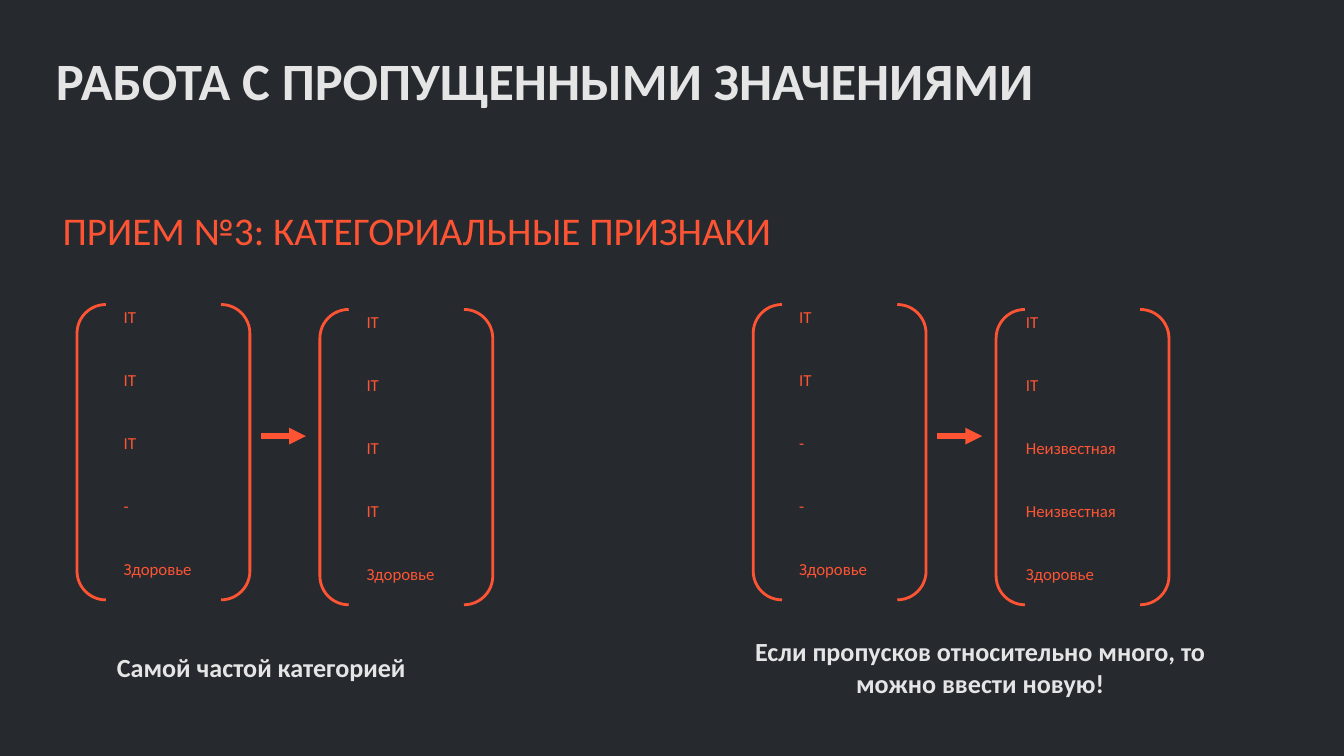
from dataclasses import dataclass

from lxml import etree
from pptx import Presentation
from pptx.dml.color import RGBColor
from pptx.enum.shapes import MSO_CONNECTOR, MSO_SHAPE
from pptx.enum.text import MSO_ANCHOR, PP_ALIGN
from pptx.oxml.ns import qn
from pptx.util import Emu, Pt

EMU_PER_PX = 9525
FONT = "Calibri"
COLORS = {"background": "262A2F", "light": "E5E5E5", "accent": "FF5433"}
BRACKETS = MSO_SHAPE.DOUBLE_BRACKET
STRAIGHT = MSO_CONNECTOR.STRAIGHT
TOP = MSO_ANCHOR.TOP
LEFT, CENTER = PP_ALIGN.LEFT, PP_ALIGN.CENTER

BRACKET_WIDTH, BRACKET_HEIGHT = 247, 422
ROW_HEIGHT = 90
PANEL_STEP = 966  # from the left example to the right one
ARROW_LEFT, ARROW_RIGHT, ARROW_Y = 373, 437, 623


@dataclass
class Label:
    text: str
    left: int
    top: int
    width: int
    height: int
    size: float
    color: str = "light"
    bold: bool = True
    align: int = LEFT
    margin: bool = False
    line_spacing: float | Pt | None = None
    space_before: int = 0


@dataclass
class Column:
    values: list[str]
    bracket_left: int
    top: int
    table_left: int
    table_width: int


LABELS = [
    Label("РАБОТА С ПРОПУЩЕННЫМИ ЗНАЧЕНИЯМИ", 80, 83, 1720, 189, 56.2,
          line_spacing=Pt(56.3)),
    Label("ПРИЕМ №3: КАТЕГОРИАЛЬНЫЕ ПРИЗНАКИ", 80, 297, 1052, 74, 42, "accent",
          bold=False, margin=True, line_spacing=0.9, space_before=15),
    Label("Самой частой категорией", 167, 930, 429, 45, 28),
    Label("Если пропусков относительно много, то можно ввести новую!",
          1076, 908, 648, 90, 28, align=CENTER),
]

COLUMNS = [
    Column(["IT", "IT", "IT", "-", "Здоровье"], 110, 435, 167, 188),
    Column(["IT", "IT", "IT", "IT", "Здоровье"], 457, 442, 514, 173),
    Column(["IT", "IT", "-", "-", "Здоровье"], 110 + PANEL_STEP, 435, 1132, 188),
    Column(["IT", "IT", "Неизвестная", "Неизвестная", "Здоровье"],
           457 + PANEL_STEP, 442, 1456, 213),
]


def px(value: int) -> Emu:
    return Emu(value * EMU_PER_PX)


def color(name: str) -> RGBColor:
    return RGBColor.from_string(COLORS[name])


def style_font(paragraph, size: float, color_name: str, bold: bool = False) -> None:
    font = paragraph.font
    font.name, font.size, font.bold = FONT, Pt(size), bold
    font.color.rgb = color(color_name)


def add_label(slide, label: Label) -> None:
    shape = slide.shapes.add_textbox(
        px(label.left), px(label.top), px(label.width), px(label.height))
    frame = shape.text_frame
    frame.word_wrap = True
    frame.vertical_anchor = TOP
    if not label.margin:
        frame.margin_left = frame.margin_right = 0
        frame.margin_top = frame.margin_bottom = 0
    paragraph = frame.paragraphs[0]
    paragraph.text = label.text
    paragraph.alignment = label.align
    paragraph.line_spacing = label.line_spacing
    paragraph.space_before = Pt(label.space_before)
    style_font(paragraph, label.size, label.color, label.bold)


def clear_cell(cell) -> None:
    properties = cell._tc.get_or_add_tcPr()
    for side in ("a:lnL", "a:lnR", "a:lnT", "a:lnB"):
        border = etree.SubElement(properties, qn(side))
        etree.SubElement(border, qn("a:noFill"))
    cell.fill.background()


def add_column(slide, column: Column) -> None:
    # Values
    table = slide.shapes.add_table(
        len(column.values), 1, px(column.table_left), px(column.top),
        px(column.table_width), px(ROW_HEIGHT * len(column.values))).table
    table.first_row = table.horz_banding = False
    for row, value in enumerate(column.values):
        cell = table.cell(row, 0)
        clear_cell(cell)
        cell.text = value
        style_font(cell.text_frame.paragraphs[0], 18, "accent")

    # Brackets around them
    shape = slide.shapes.add_shape(
        BRACKETS, px(column.bracket_left), px(column.top),
        px(BRACKET_WIDTH), px(BRACKET_HEIGHT))
    shape.shadow.inherit = False
    shape.fill.background()
    shape.line.color.rgb = color("accent")
    shape.line.width = Pt(3)


def add_arrow(slide, left: int, right: int, y: int) -> None:
    arrow = slide.shapes.add_connector(STRAIGHT, px(left), px(y), px(right), px(y))
    arrow.line.color.rgb = color("accent")
    arrow.line.width = Pt(6)
    etree.SubElement(arrow.line._get_or_add_ln(), qn("a:tailEnd"), type="triangle")
    etree.SubElement(arrow._element.spPr, qn("a:effectLst"))


def main() -> None:
    presentation = Presentation()
    presentation.slide_width, presentation.slide_height = px(1920), px(1080)
    slide = presentation.slides.add_slide(presentation.slide_layouts[6])
    background = slide.background.fill
    background.solid()
    background.fore_color.rgb = color("background")

    # Headings and captions
    for label in LABELS:
        add_label(slide, label)

    # Columns before and after filling the gaps
    for column in COLUMNS:
        add_column(slide, column)
    for offset in (0, PANEL_STEP):
        add_arrow(slide, ARROW_LEFT + offset, ARROW_RIGHT + offset, ARROW_Y)

    presentation.save("out.pptx")


if __name__ == "__main__":
    main()
